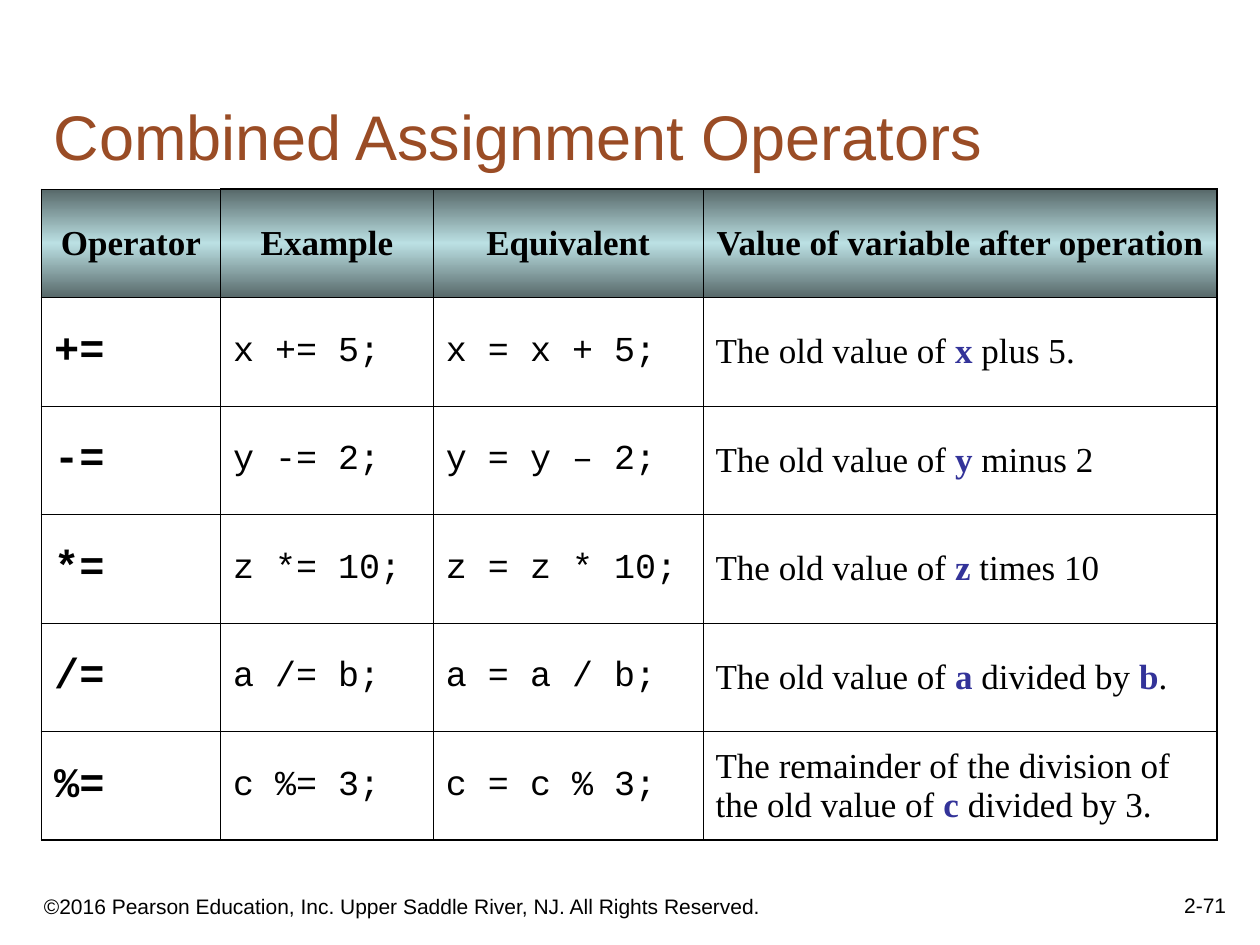
import dataclasses

import lxml.etree
import pptx
import pptx.dml.color
import pptx.enum.text
import pptx.oxml
import pptx.oxml.ns
import pptx.util

Inches = pptx.util.Inches
Pt = pptx.util.Pt
ANCHOR = pptx.enum.text.MSO_ANCHOR
ALIGN = pptx.enum.text.PP_ALIGN


@dataclasses.dataclass(frozen=True)
class Theme:
    text: str = "000000"
    title: str = "9A4C25"
    variable: str = "333399"
    header_edge: str = "576869"
    header_middle: str = "BBE0E3"
    sans: str = "Arial"
    serif: str = "Times New Roman"
    code: str = "Courier New"
    title_size: int = 36
    operator_size: int = 24
    body_size: int = 20
    footer_size: int = 12
    inner_line: float = 0.45
    outer_line: float = 1.08


theme = Theme()


def add_run(paragraph, text, font, size, color=theme.text, bold=False):
    run = paragraph.add_run()
    run.text = text
    run.font.name = font
    run.font.size = Pt(size)
    run.font.bold = bold
    run.font.color.rgb = pptx.dml.color.RGBColor.from_string(color)


def add_border(cell, side, width):
    properties = cell._tc.get_or_add_tcPr()
    line = lxml.etree.SubElement(properties, pptx.oxml.ns.qn("a:ln" + side), w=str(Pt(width)))
    fill = lxml.etree.SubElement(line, pptx.oxml.ns.qn("a:solidFill"))
    lxml.etree.SubElement(fill, pptx.oxml.ns.qn("a:srgbClr"), val=theme.text)


presentation = pptx.Presentation()
presentation.slide_width = Inches(10)
presentation.slide_height = Inches(7.5)
slide = presentation.slides.add_slide(presentation.slide_layouts[6])

text_boxes = [
    ("©2016 Pearson Education, Inc. Upper Saddle River, NJ. All Rights Reserved.",
     (0.25, 6.92, 6.08, 0.42), ALIGN.LEFT, theme.footer_size, theme.text),
    ("2-71", (7.75, 6.83, 2.08, 0.5), ALIGN.RIGHT, theme.footer_size, theme.text),
    ("Combined Assignment Operators",
     (0.33, 0.33, 9.42, 1.09), ALIGN.LEFT, theme.title_size, theme.title),
]
for text, position, alignment, size, color in text_boxes:
    shape = slide.shapes.add_textbox(*map(Inches, position))
    shape.text_frame.word_wrap = True
    shape.text_frame.vertical_anchor = ANCHOR.BOTTOM
    paragraph = shape.text_frame.paragraphs[0]
    paragraph.alignment = alignment
    add_run(paragraph, text, theme.sans, size, color)

headers = ["Operator", "Example", "Equivalent", "Value of variable after operation"]
operations = [
    ("+=", "x += 5;", "x = x + 5;", ["The old value of ", "x", " plus 5."]),
    ("-=", "y -= 2;", "y = y – 2;", ["The old value of", " y", " minus 2"]),
    ("*=", "z *= 10;", "z = z * 10;", ["The old value of ", "z", " times 10"]),
    ("/=", "a /= b;", "a = a / b;", ["The old value of ", "a", " divided by ", "b", "."]),
    ("%=", "c %= 3;", "c = c % 3;",
     ["The remainder of the division of the old value of ", "c", " divided by 3."]),
]
column_widths = [1.42, 1.69, 2.14, 4.08]
row_count = len(operations) + 1
column_count = len(headers)

table = slide.shapes.add_table(
    row_count, column_count, Inches(0.33), Inches(1.5), Inches(9.33), Inches(5.17)
).table
for column, width in zip(table.columns, column_widths):
    column.width = Inches(width)

for column_index, header in enumerate(headers):
    paragraph = table.cell(0, column_index).text_frame.paragraphs[0]
    paragraph.alignment = ALIGN.CENTER
    add_run(paragraph, header, theme.serif, theme.body_size, bold=True)

for row_index, (operator, example, equivalent, meaning) in enumerate(operations, 1):
    paragraphs = [table.cell(row_index, i).text_frame.paragraphs[0] for i in range(column_count)]
    add_run(paragraphs[0], operator, theme.code, theme.operator_size, bold=True)
    add_run(paragraphs[1], example, theme.code, theme.body_size)
    add_run(paragraphs[2], equivalent, theme.code, theme.body_size)
    for part_index, part in enumerate(meaning):
        is_variable = part_index % 2 == 1
        color = theme.variable if is_variable else theme.text
        add_run(paragraphs[3], part, theme.serif, theme.body_size, color, is_variable)

header_stops = [(0, theme.header_edge), (50, theme.header_middle), (100, theme.header_edge)]
for row_index in range(row_count):
    for column_index in range(column_count):
        cell = table.cell(row_index, column_index)
        cell.vertical_anchor = ANCHOR.MIDDLE
        outer_sides = {
            "L": column_index == 0,
            "R": column_index == column_count - 1,
            "T": row_index == 0 and column_index > 0,
            "B": row_index == row_count - 1,
        }
        for side, is_outer in outer_sides.items():
            add_border(cell, side, theme.outer_line if is_outer else theme.inner_line)
        if row_index > 0:
            cell.fill.background()
            continue
        gradient = lxml.etree.SubElement(
            cell._tc.get_or_add_tcPr(), pptx.oxml.ns.qn("a:gradFill"), rotWithShape="1"
        )
        stops = lxml.etree.SubElement(gradient, pptx.oxml.ns.qn("a:gsLst"))
        for position, color in header_stops:
            stop = lxml.etree.SubElement(stops, pptx.oxml.ns.qn("a:gs"), pos=str(position * 1000))
            lxml.etree.SubElement(stop, pptx.oxml.ns.qn("a:srgbClr"), val=color)
        lxml.etree.SubElement(gradient, pptx.oxml.ns.qn("a:lin"), ang="5400000", scaled="1")

presentation.save("out.pptx")
